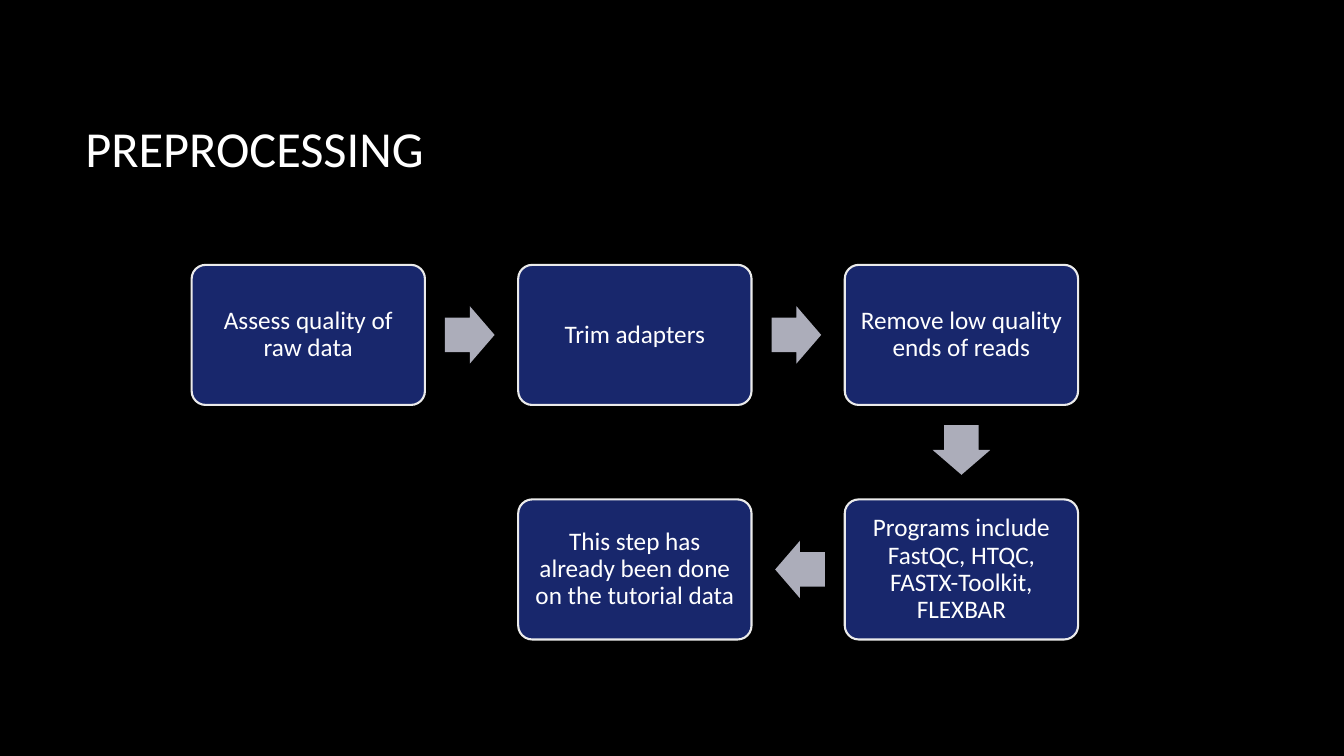
"""Build the preprocessing flow slide."""
from dataclasses import dataclass
from itertools import pairwise
from math import atan2, degrees

from pptx import Presentation
from pptx.dml.color import RGBColor
from pptx.enum.shapes import MSO_SHAPE
from pptx.enum.text import MSO_ANCHOR, PP_ALIGN
from pptx.util import Cm, Pt

BOX = MSO_SHAPE.ROUNDED_RECTANGLE
ARROW = MSO_SHAPE.RIGHT_ARROW
MIDDLE = MSO_ANCHOR.MIDDLE
CENTER = PP_ALIGN.CENTER
LEFT = PP_ALIGN.LEFT

BOX_W, BOX_H = 5.88, 3.53
ARROW_W, ARROW_H = 1.25, 1.45
FIRST_X, FIRST_Y = 7.77, 8.44
PITCH_X, PITCH_Y = 8.23, 5.91
REACH_X, REACH_Y = 4.07, 2.9


@dataclass
class Step:
    col: int
    row: int
    text: str

    def center(self) -> tuple[float, float]:
        return FIRST_X + self.col * PITCH_X, FIRST_Y + self.row * PITCH_Y


STEPS = [
    Step(0, 0, "Assess quality of raw data"),
    Step(1, 0, "Trim adapters"),
    Step(2, 0, "Remove low quality ends of reads"),
    Step(2, 1, "Programs include FastQC, HTQC, FASTX-Toolkit, FLEXBAR"),
    Step(1, 1, "This step has already been done on the tutorial data"),
]


def color(code: str) -> RGBColor:
    return RGBColor.from_string(code)


def write(shape, text: str, size: int, align, pad: float, space: float) -> None:
    frame = shape.text_frame
    inset = Cm(pad)
    form = {"word_wrap": True, "vertical_anchor": MIDDLE,
            "margin_left": inset, "margin_right": inset,
            "margin_top": inset, "margin_bottom": inset}
    for key, value in form.items():
        setattr(frame, key, value)
    para = frame.paragraphs[0]
    para.text = text
    para.alignment = align
    para.line_spacing = space
    for key, value in {"name": "Calibri", "size": Pt(size)}.items():
        setattr(para.font, key, value)
    para.font.color.rgb = color("FFFFFF")


def block(slide, kind, x: float, y: float, w: float, h: float, fill: str):
    shape = slide.shapes.add_shape(
        kind, Cm(x - w / 2), Cm(y - h / 2), Cm(w), Cm(h))
    shape.shadow.inherit = False
    shape.fill.solid()
    shape.fill.fore_color.rgb = color(fill)
    return shape


def draw_step(slide, step: Step) -> None:
    box = block(slide, BOX, *step.center(), BOX_W, BOX_H, "18276C")
    box.adjustments[0] = 0.1
    box.line.color.rgb = color("EBEBEB")
    box.line.width = Pt(1.5)
    write(box, step.text, 18, CENTER, 0.18, 0.9)


def draw_arrow(slide, start: Step, end: Step) -> None:
    right, down = end.col - start.col, end.row - start.row
    x, y = start.center()
    arrow = block(slide, ARROW, x + right * REACH_X, y + down * REACH_Y,
                  ARROW_W, ARROW_H, "ACADBA")
    arrow.adjustments[0] = 0.6
    arrow.adjustments[1] = 0.5
    arrow.rotation = degrees(atan2(down, right))
    arrow.line.fill.background()


def main() -> None:
    deck = Presentation()
    deck.slide_width, deck.slide_height = Cm(33.87), Cm(19.05)
    slide = deck.slides.add_slide(deck.slide_layouts[6])
    back = slide.background.fill
    back.solid()
    back.fore_color.rgb = color("000000")
    title = slide.shapes.add_textbox(Cm(1.9), Cm(1.7), Cm(28.14), Cm(4.04))
    write(title, "PREPROCESSING", 36, LEFT, 0.25, 1.0)
    for step in STEPS:
        draw_step(slide, step)
    for start, end in pairwise(STEPS):
        draw_arrow(slide, start, end)
    deck.save("out.pptx")


if __name__ == "__main__":
    main()
